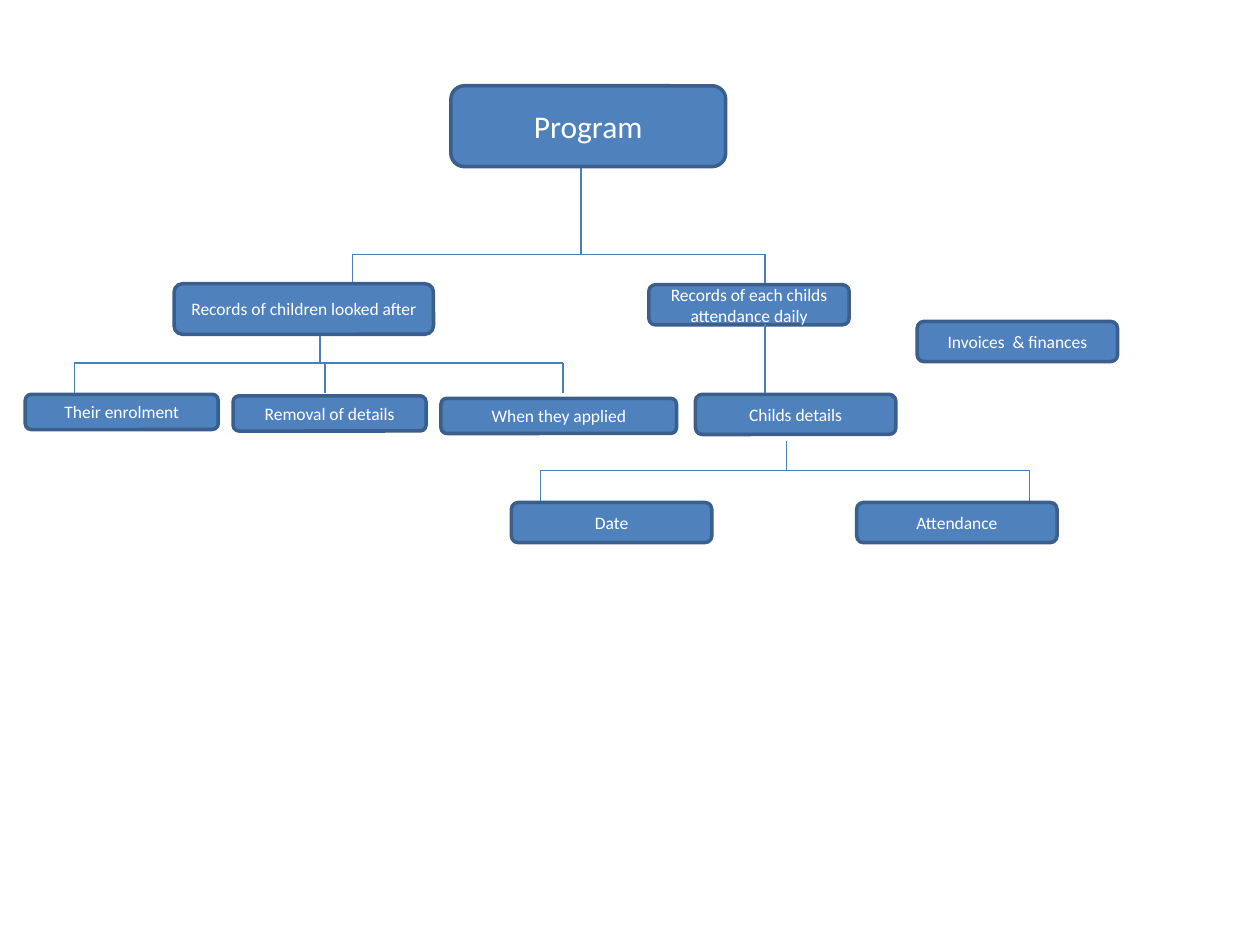
from dataclasses import dataclass
from itertools import pairwise

from lxml.etree import SubElement
from pptx import Presentation
from pptx.dml.color import RGBColor
from pptx.enum.shapes import MSO_CONNECTOR, MSO_SHAPE
from pptx.enum.text import MSO_ANCHOR, PP_ALIGN
from pptx.oxml.ns import qn
from pptx.shapes.autoshape import Shape
from pptx.slide import Slide
from pptx.util import Cm, Pt

BLUE = RGBColor(0x4F, 0x81, 0xBD)
EDGE = RGBColor(0x3A, 0x5F, 0x8C)
LINK = RGBColor(0x4B, 0x7E, 0xBC)
WHITE = RGBColor(0xFF, 0xFF, 0xFF)


@dataclass
class Box:
    text: str
    left: float
    top: float
    width: float = 4.04
    height: float = 0.81
    size: int = 10


@dataclass
class Fork:
    stem: float
    top: float
    bar: float
    foot: float
    joints: tuple[float, ...]
    drops: tuple[float, ...]


BOXES = [
    Box("Program", 9.09, 1.73, 5.54, 1.63, size=18),
    Box("Records of children looked after", 3.51, 5.72, 5.23, 1.02),
    Box("Their enrolment", 0.51, 7.95, 3.89, 0.71),
    Box("Removal of details", 4.7, 7.98, 3.89, 0.71),
    Box("When they applied", 8.89, 8.03, 4.75, 0.71),
    Box("Records of each childs attendance daily", 13.08, 5.74),
    Box("Invoices  & finances", 18.49, 6.48),
    Box("Attendance", 17.27, 10.13),
    Box("Childs details", 14.02, 7.95),
    Box("Date", 10.31, 10.13),
]

FORKS = [
    Fork(11.71, 3.35, 5.13, 5.72, (7.11, 15.42), (7.11, 15.42)),
    Fork(6.45, 6.73, 7.32, 7.93, (1.5, 8.3, 11.35), (1.5, 6.55, 11.35)),
    Fork(15.85, 8.89, 9.48, 10.1, (10.9, 17.7, 20.75), (10.9, 20.75)),
]


def write(shape: Shape, text: str, *, size: int, color: RGBColor = WHITE,
          font: str = "Calibri") -> None:
    """Put centred text in a shape."""
    frame = shape.text_frame
    frame.word_wrap = True
    frame.vertical_anchor = MSO_ANCHOR.MIDDLE
    para = frame.paragraphs[0]
    para.alignment = PP_ALIGN.CENTER
    run = para.add_run()
    run.text = text
    run.font.size = Pt(size)
    run.font.name = font
    run.font.color.rgb = color


def draw_box(slide: Slide, box: Box) -> None:
    """Draw one rounded box with its label."""
    shape = slide.shapes.add_shape(
        MSO_SHAPE.ROUNDED_RECTANGLE,
        Cm(box.left), Cm(box.top), Cm(box.width), Cm(box.height))
    shape.shadow.inherit = False
    shape.fill.solid()
    shape.fill.fore_color.rgb = BLUE
    shape.line.color.rgb = EDGE
    shape.line.width = Pt(2)
    write(shape, box.text, size=box.size)


def draw_line(slide: Slide, x1: float, y1: float, x2: float, y2: float) -> None:
    """Draw one thin straight link."""
    line = slide.shapes.add_connector(
        MSO_CONNECTOR.STRAIGHT, Cm(x1), Cm(y1), Cm(x2), Cm(y2))
    line.line.color.rgb = LINK
    line.line.width = Pt(0.75)
    SubElement(line._element.spPr, qn("a:effectLst"))


def draw_fork(slide: Slide, fork: Fork) -> None:
    """Draw a stem, its bar and the drops below it."""
    draw_line(slide, fork.stem, fork.top, fork.stem, fork.bar)
    for start, end in pairwise(fork.joints):
        draw_line(slide, start, fork.bar, end, fork.bar)
    for drop in fork.drops:
        draw_line(slide, drop, fork.bar, drop, fork.foot)


def main() -> None:
    """Build the program chart and save it."""
    deck = Presentation()
    deck.slide_width, deck.slide_height = Cm(25.4), Cm(19.05)
    slide = deck.slides.add_slide(deck.slide_layouts[6])
    for fork in FORKS:
        draw_fork(slide, fork)
    for box in BOXES:
        draw_box(slide, box)
    draw_line(slide, 15.42, 6.53, 15.42, 7.92)
    deck.save("out.pptx")


if __name__ == "__main__":
    main()
